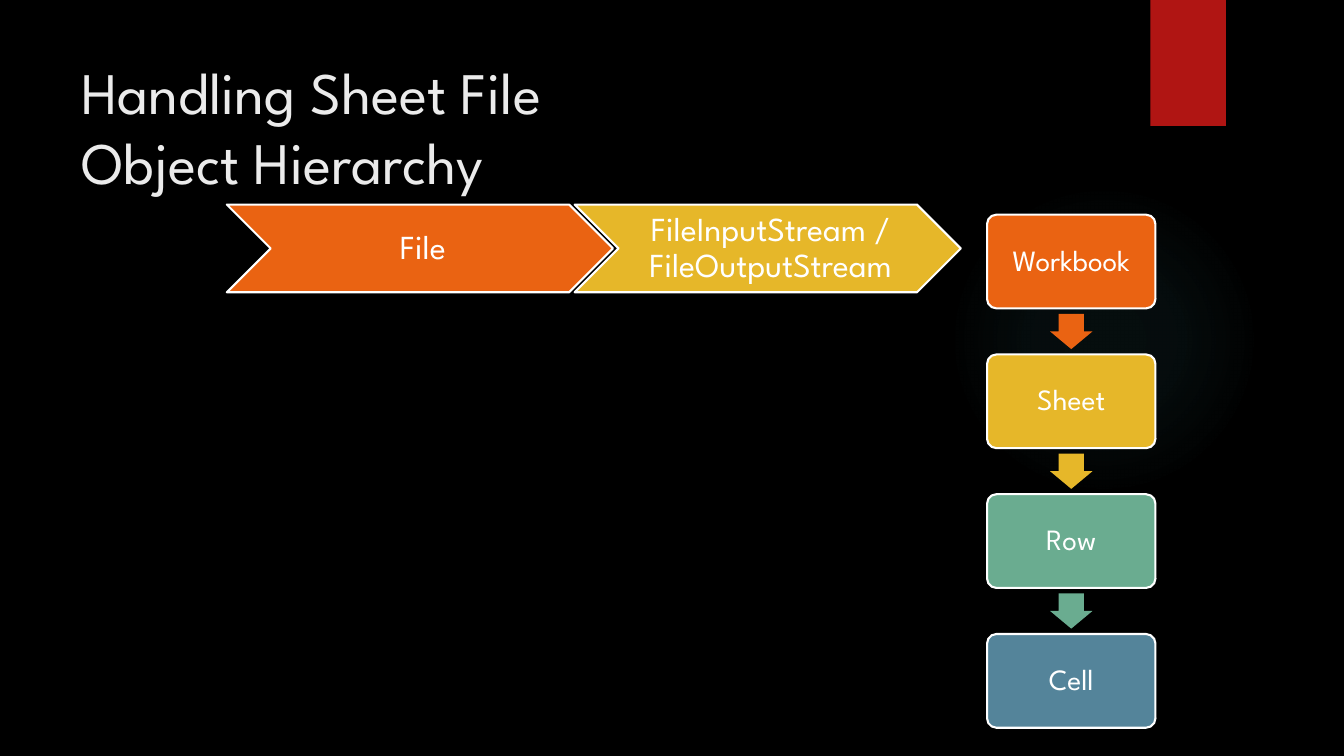
from lxml import etree
from pptx import Presentation
from pptx.dml.color import RGBColor
from pptx.enum.shapes import MSO_SHAPE as Preset
from pptx.enum.text import MSO_ANCHOR as Anchor, PP_ALIGN as Align
from pptx.oxml import parse_xml
from pptx.oxml.ns import nsdecls
from pptx.util import Inches, Pt

FONT = "League Spartan"
BLACK = RGBColor(0x00, 0x00, 0x00)
WHITE = RGBColor(0xFF, 0xFF, 0xFF)
TITLE_GRAY = RGBColor(0xEB, 0xEB, 0xEB)
RED = RGBColor(0xB0, 0x15, 0x13)
ORANGE = RGBColor(0xEA, 0x63, 0x12)
YELLOW = RGBColor(0xE6, 0xB7, 0x29)
GREEN = RGBColor(0x6A, 0xAC, 0x90)
BLUE = RGBColor(0x54, 0x84, 0x9A)
TEAL = RGBColor(0x50, 0xB9, 0xC1)

TITLE = "Handling Sheet File\nObject Hierarchy"
STREAMS = [("File", ORANGE), ("FileInputStream / FileOutputStream", YELLOW)]
LEVELS = [("Workbook", ORANGE), ("Sheet", YELLOW), ("Row", GREEN), ("Cell", BLUE)]
GLOW_STOPS = [(0, 7), (36, 6), (69, 0)]

CHEVRON_LEFT, CHEVRON_TOP, CHEVRON_WIDTH, CHEVRON_HEIGHT = 2.25, 2.03, 3.83, 0.87
CHEVRON_STEP = 3.45
LEVEL_LEFT, LEVEL_WIDTH, LEVEL_HEIGHT = 9.79, 1.67, 0.93
FIRST_LEVEL_TOP, LAST_LEVEL_TOP = 2.13, 6.29
ARROW_WIDTH, ARROW_HEIGHT = 0.42, 0.35


def add_filled(slide, preset, left, top, width, height, color, outlined=False):
    shape = slide.shapes.add_shape(
        preset, Inches(left), Inches(top), Inches(width), Inches(height))
    shape.shadow.inherit = False
    shape.fill.solid()
    shape.fill.fore_color.rgb = color
    if outlined:
        shape.line.color.rgb = WHITE
        shape.line.width = Pt(1.5)
    else:
        shape.line.fill.background()
    return shape


def write(shape, text, size, color, margins, align=Align.CENTER, anchor=Anchor.MIDDLE):
    frame = shape.text_frame
    frame.word_wrap = True
    frame.vertical_anchor = anchor
    frame.margin_left, frame.margin_top, frame.margin_right, frame.margin_bottom = map(
        Inches, margins)
    paragraph = frame.paragraphs[0]
    paragraph.text = text
    paragraph.alignment = align
    for run in paragraph.runs:
        run.font.name = FONT
        run.font.size = Pt(size)
        run.font.color.rgb = color
    return paragraph


def add_glow(slide):
    glow = add_filled(slide, Preset.OVAL, 9.41, 1.83, 3.08, 3.08, TEAL)
    stops = "".join(
        f'<a:gs pos="{position * 1000}"><a:srgbClr val="{TEAL}">'
        f'<a:alpha val="{alpha * 1000}"/></a:srgbClr></a:gs>'
        for position, alpha in GLOW_STOPS)
    gradient = parse_xml(
        f'<a:gradFill {nsdecls("a")}><a:gsLst>{stops}</a:gsLst><a:path path="circle">'
        '<a:fillToRect l="50000" t="50000" r="50000" b="50000"/></a:path></a:gradFill>')
    properties = glow.fill._xPr
    properties.replace(properties.solidFill if hasattr(properties, "solidFill")
                       else properties.eg_fillProperties, gradient)


def add_title(slide):
    box = slide.shapes.add_textbox(Inches(0.71), Inches(0.5), Inches(10.29), Inches(1.53))
    write(box, TITLE, 42, TITLE_GRAY, (0.1, 0.05, 0.1, 0.05), Align.LEFT, Anchor.TOP)


def add_levels(slide):
    step = (LAST_LEVEL_TOP - FIRST_LEVEL_TOP) / (len(LEVELS) - 1)
    for index, (name, color) in enumerate(LEVELS):
        top = FIRST_LEVEL_TOP + index * step
        level = add_filled(slide, Preset.ROUNDED_RECTANGLE, LEVEL_LEFT, top,
                           LEVEL_WIDTH, LEVEL_HEIGHT, color, outlined=True)
        level.adjustments[0] = 0.1
        write(level, name, 21, WHITE, (0.09,) * 4).line_spacing = 0.9
        if index < len(LEVELS) - 1:
            arrow = add_filled(
                slide, Preset.DOWN_ARROW,
                LEVEL_LEFT + (LEVEL_WIDTH - ARROW_WIDTH) / 2,
                top + (LEVEL_HEIGHT + step - ARROW_HEIGHT) / 2,
                ARROW_WIDTH, ARROW_HEIGHT, color)
            arrow.adjustments[0] = 0.6
            arrow.adjustments[1] = 0.5


def add_streams(slide):
    for index, (name, color) in enumerate(STREAMS):
        chevron = add_filled(slide, Preset.CHEVRON, CHEVRON_LEFT + index * CHEVRON_STEP,
                             CHEVRON_TOP, CHEVRON_WIDTH, CHEVRON_HEIGHT, color, outlined=True)
        write(chevron, name, 24, WHITE, (0.1, 0.04, 0.04, 0.04)).line_spacing = 0.9


def main():
    presentation = Presentation()
    presentation.slide_width, presentation.slide_height = Inches(13.33), Inches(7.5)
    slide = presentation.slides.add_slide(presentation.slide_layouts[6])
    slide.background.fill.solid()
    slide.background.fill.fore_color.rgb = BLACK
    add_glow(slide)
    add_filled(slide, Preset.RECTANGLE, 11.41, 0, 0.75, 1.25, RED)
    add_title(slide)
    add_levels(slide)
    add_streams(slide)
    presentation.save("out.pptx")


if __name__ == "__main__":
    main()
